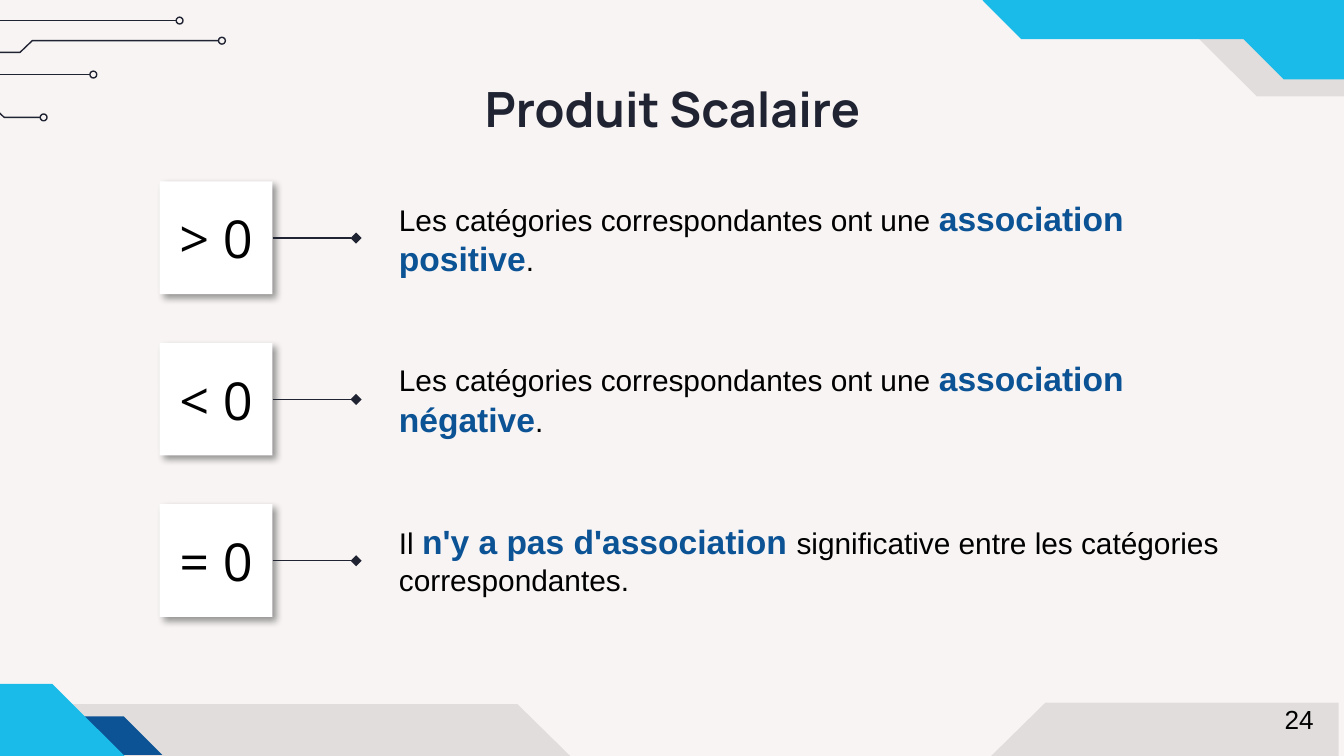
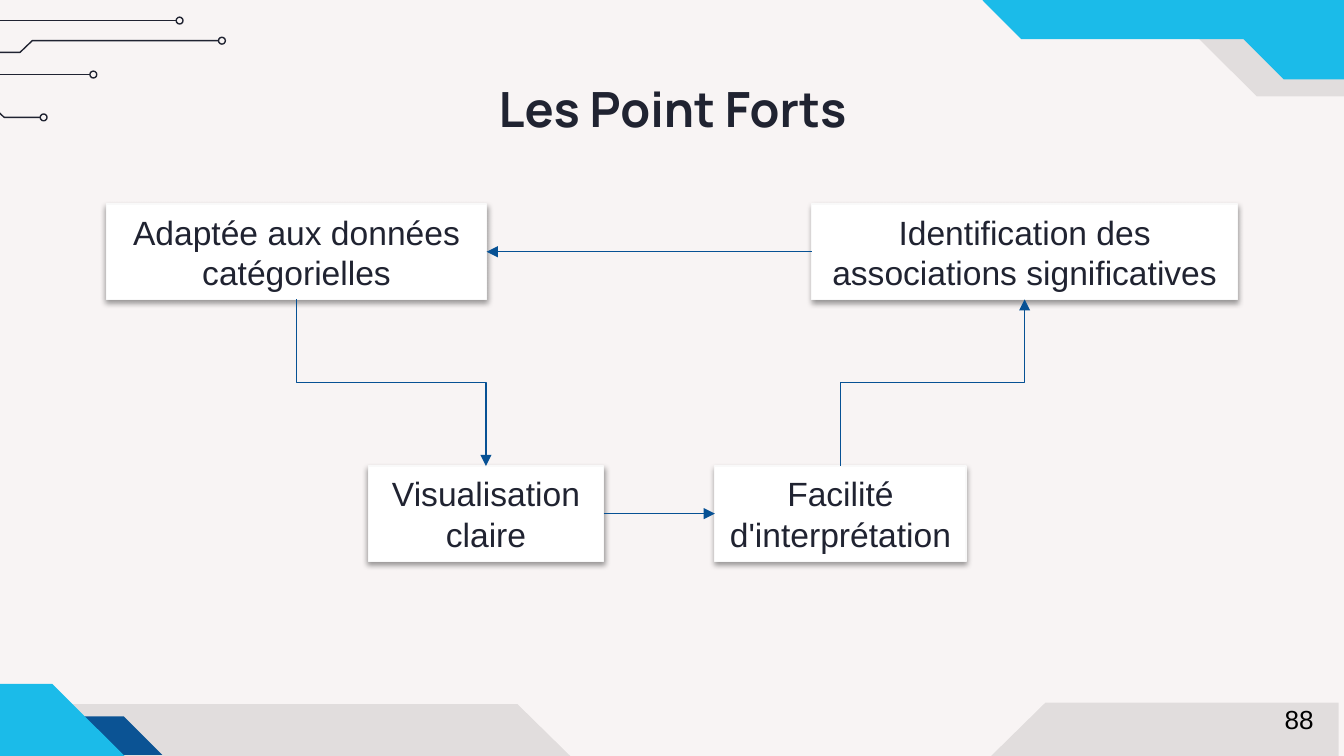
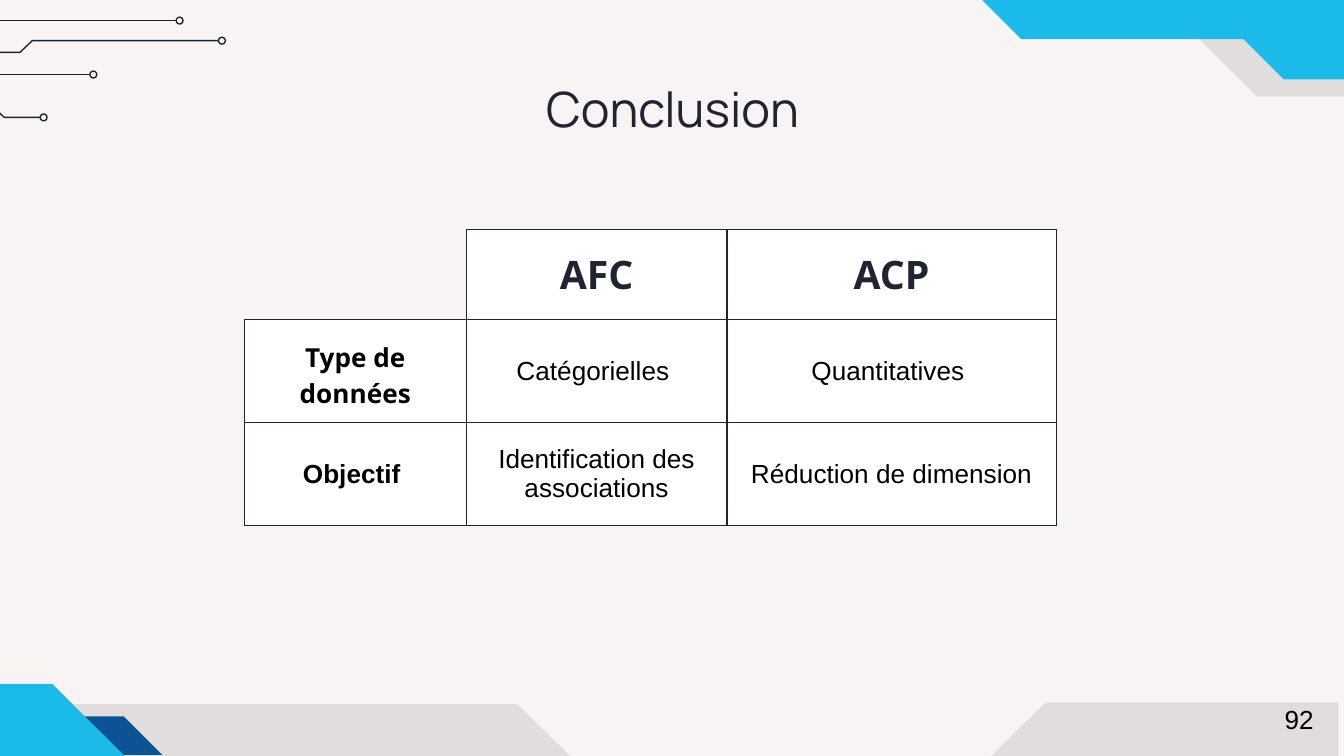
from lxml import etree
from pptx import Presentation
from pptx import util as u
from pptx.dml.color import RGBColor
from pptx.enum import shapes, text
from pptx.oxml import ns

COLORS = {
    "paper": "F8F4F4",
    "ink": "202331",
    "sky": "1BBBE9",
    "navy": "0B5394",
    "arrow": "075194",
    "edge": "F9F9F9",
    "white": "FFFFFF",
    "black": "000000",
}
RGB = {name: RGBColor.from_string(code) for name, code in COLORS.items()}


def draw_line(slide, kind, ends, color, tail=None):
    line = slide.shapes.add_connector(kind, *ends)
    line.line.color.rgb = RGB[color]
    line.line.width = u.Pt(0.75)
    if tail:
        etree.SubElement(line.line._get_or_add_ln(), ns.qn("a:tailEnd"), type=tail)
    etree.SubElement(line.element.spPr, ns.qn("a:effectLst"))
    return line


def draw_card(slide, place, words, size, face, color, blur, dist, angle, alpha):
    card = slide.shapes.add_shape(shapes.MSO_SHAPE.RECTANGLE, *map(u.Cm, place))
    card.fill.solid()
    card.fill.fore_color.rgb = RGB["white"]
    card.line.fill.background()
    card.shadow.inherit = False
    glow = etree.SubElement(
        card.element.spPr.find(ns.qn("a:effectLst")), ns.qn("a:outerShdw"),
        blurRad=str(u.Pt(blur)), dist=str(u.Pt(dist)), dir=str(angle * 60000),
        algn="bl", rotWithShape="0")
    tint = etree.SubElement(glow, ns.qn("a:srgbClr"), val=COLORS["black"])
    etree.SubElement(tint, ns.qn("a:alpha"), val=str(alpha * 1000))
    card.text_frame.word_wrap = True
    card.text_frame.vertical_anchor = text.MSO_ANCHOR.MIDDLE
    label = card.text_frame.paragraphs[0]
    label.add_run().text = words
    label.alignment = text.PP_ALIGN.CENTER
    label.font.size = u.Pt(size)
    label.font.name = face
    label.font.color.rgb = RGB[color]
    return card


prs = Presentation()
prs.slide_width, prs.slide_height = u.Cm(25.4), u.Cm(14.29)
layout = prs.slide_layouts[6]
for holder in list(layout.placeholders):
    layout.shapes.element.remove(holder.element)
layout.background.fill.solid()
layout.background.fill.fore_color.rgb = RGB["paper"]
product, strengths, conclusion = [prs.slides.add_slide(layout) for _ in range(3)]

bands = [
    ("black", 9, [(23.75, 1.82), (20.9, -1.02), (20.07, -1.02), (20.07, -2.46),
                  (27.86, -2.46), (27.86, 1.82)]),
    ("black", 9, [(19.76, 13.28), (16.89, 16.1), (12.62, 16.1), (9.78, 13.31),
                  (-0.71, 13.31), (-0.71, 18.54), (25.3, 18.54), (25.3, 13.28)]),
    ("navy", 100, [(3.07, 14.27), (2.34, 13.54), (-0.86, 13.54), (-0.13, 14.27)]),
    ("sky", 100, [(30.23, 1.5), (30.23, -6.88), (16.03, -6.88), (16.03, -0.74),
                  (17.83, -0.74), (19.3, 0.74), (23.5, 0.74), (24.26, 1.5)]),
    ("sky", 100, [(0.99, 12.93), (3.84, 15.77), (4.65, 15.77), (4.65, 17.22),
                  (-3.15, 17.22), (-3.15, 12.93)]),
]
for color, alpha, corners in bands:
    start, *rest = [(u.Cm(x), u.Cm(y)) for x, y in corners]
    outline = product.shapes.build_freeform(*start)
    outline.add_line_segments(rest)
    band = outline.convert_to_shape()
    band.fill.solid()
    band.fill.fore_color.rgb = RGB[color]
    band.line.fill.background()
    band.shadow.inherit = False
    if alpha < 100:
        tint = band.element.spPr.find(".//" + ns.qn("a:srgbClr"))
        etree.SubElement(tint, ns.qn("a:alpha"), val=str(alpha * 1000))

circuits = [
    [(-2.54, 1.41), (1.7, 1.41)],
    [(-3.45, 1.91), (-0.25, 1.91), (0.08, 2.22), (0.76, 2.22)],
    [(-4.27, 0.99), (0.38, 0.99), (0.61, 0.77), (4.13, 0.77)],
    [(-4.9, 0.39), (3.33, 0.39)],
]
node_size = 0.13
for circuit in circuits:
    start, *rest = [(u.Cm(x), u.Cm(y)) for x, y in circuit]
    end_x, end_y = circuit[-1]
    node = product.shapes.add_shape(
        shapes.MSO_SHAPE.OVAL, u.Cm(end_x), u.Cm(end_y - node_size / 2),
        u.Cm(node_size), u.Cm(node_size))
    inked = [node]
    if len(rest) == 1:
        draw_line(product, shapes.MSO_CONNECTOR.STRAIGHT, (*start, *rest[0]), "ink")
    else:
        outline = product.shapes.build_freeform(*start)
        outline.add_line_segments(rest, close=False)
        inked.append(outline.convert_to_shape())
    for part in inked:
        part.fill.background()
        part.line.color.rgb = RGB["ink"]
        part.line.width = u.Pt(0.75)
        part.shadow.inherit = False

for part in list(product.shapes):
    layout.shapes.element.append(part.element)

headings = [
    (product, "Produit Scalaire", True, "24"),
    (strengths, "Les Point Forts", True, "88"),
    (conclusion, "Conclusion", False, "92"),
]
for slide, heading, bold, number in headings:
    title = slide.shapes.add_textbox(u.Cm(2.01), u.Cm(1.24), u.Cm(21.41), u.Cm(1.6)).text_frame
    title.word_wrap = True
    title.vertical_anchor = text.MSO_ANCHOR.MIDDLE
    title.margin_top = title.margin_bottom = u.Cm(0.25)
    page = slide.shapes.add_textbox(u.Cm(24.03), u.Cm(13.18), u.Cm(1.07), u.Cm(0.86)).text_frame
    page.word_wrap = False
    page.auto_size = text.MSO_AUTO_SIZE.SHAPE_TO_FIT_TEXT
    for frame, words, size, face, color in [
        (title, heading, 26, "Manrope", "ink"),
        (page, number, 14, "Arial", "black"),
    ]:
        line = frame.paragraphs[0]
        line.add_run().text = words
        line.font.size = u.Pt(size)
        line.font.name = face
        line.font.color.rgb = RGB[color]
    title.paragraphs[0].alignment = text.PP_ALIGN.CENTER
    title.paragraphs[0].font.bold = bold

signs = [
    ("> 0", 3.61, "Les catégories correspondantes ont une ", "association positive", "."),
    ("< 0", 6.65, "Les catégories correspondantes ont une ", "association négative", "."),
    ("= 0", 9.73, "Il ", "n'y a pas d'association ",
     "significative entre les catégories correspondantes."),
]
for row, (sign, meaning_top, before, key, after) in enumerate(signs):
    top = 3.43 + row * 3.05
    draw_card(product, (3.02, top, 2.13, 2.13), sign, 28, "Open Sans", "black", 4, 3, 45, 40)
    middle = top + 1.07
    draw_line(product, shapes.MSO_CONNECTOR.STRAIGHT,
              map(u.Cm, (5.15, middle, 6.73, middle)), "ink", "diamond")
    meaning = product.shapes.add_textbox(u.Cm(7.29), u.Cm(meaning_top), u.Cm(16.1), u.Cm(1.8))
    meaning.text_frame.word_wrap = True
    sentence = meaning.text_frame.paragraphs[0]
    sentence.font.name = "Arial"
    for words, size, color, bold in [
        (before, 16, "black", False), (key, 18, "navy", True), (after, 16, "black", False),
    ]:
        run = sentence.add_run()
        run.text = words
        run.font.size = u.Pt(size)
        run.font.color.rgb = RGB[color]
        run.font.bold = bold

upper, lower = 3.86, 8.81
cards = []
for words, left, top, width in [
    ("Adaptée aux données catégorielles", 2.01, upper, 7.19),
    ("Visualisation claire", 6.96, lower, 4.45),
    ("Facilité d'interprétation", 13.51, lower, 4.75),
    ("Identification des associations significatives", 15.34, upper, 8.05),
]:
    card = draw_card(strengths, (left, top, width, 1.8), words, 18, "Arial", "ink", 3.1, 1.6, 90, 38)
    card.line.color.rgb = RGB["edge"]
    card.line.width = u.Pt(0.75)
    cards.append(card)
adapted, visual, easy, links = cards

for source, target in [(visual, easy), (links, adapted)]:
    y = source.top + source.height // 2
    if source.left < target.left:
        ends = (source.left + source.width, y, target.left, y)
    else:
        ends = (source.left, y, target.left + target.width, y)
    draw_line(strengths, shapes.MSO_CONNECTOR.ELBOW, ends, "arrow", "triangle")

gap_top, gap_bottom = adapted.top + adapted.height, visual.top
half_rise = (gap_bottom - gap_top) // 2
for source, target, turn, side in [(adapted, visual, 270, 1), (easy, links, 90, -1)]:
    from_x = source.left + source.width // 2
    to_x = target.left + target.width // 2
    half_run = (to_x - from_x) // 2
    x, y = (from_x + to_x) // 2, (gap_top + gap_bottom) // 2
    ends = (x + half_rise, y - side * half_run, x - half_rise, y + side * half_run)
    draw_line(strengths, shapes.MSO_CONNECTOR.ELBOW, ends, "arrow", "triangle").rotation = turn

comparison = [
    ["", "AFC", "ACP"],
    ["Type de données", "Catégorielles ", "Quantitatives "],
    ["Objectif ", "Identification des associations", "Réduction de dimension"],
]
grid = conclusion.shapes.add_table(3, 3, u.Cm(4.62), u.Cm(4.34), u.Cm(15.34), u.Cm(5.2)).table
grid.first_row = grid.horz_banding = False
for column, width in zip(grid.columns, (4.19, 4.93, 6.22)):
    column.width = u.Cm(width)
for row, height in zip(grid.rows, (1.7, 1.75, 1.75)):
    row.height = u.Cm(height)
for r, entries in enumerate(comparison):
    for c, words in enumerate(entries):
        cell = grid.cell(r, c)
        cell.vertical_anchor = text.MSO_ANCHOR.MIDDLE
        cell.margin_left = cell.margin_right = u.Cm(0.38)
        cell.margin_top = cell.margin_bottom = u.Cm(0.38 if r else 0.28)
        if words:
            cell.fill.solid()
            cell.fill.fore_color.rgb = RGB["white"]
            entry = cell.text_frame.paragraphs[0]
            entry.add_run().text = words
            entry.alignment = text.PP_ALIGN.CENTER
            entry.font.size = u.Pt(14 if r else 21)
            entry.font.name = "Open Sans" if r == 0 or (r, c) == (1, 0) else "Arial"
            entry.font.bold = r == 0 or c == 0
            entry.font.color.rgb = RGB["black" if r else "ink"]
        else:
            cell.fill.background()
        props = cell._tc.get_or_add_tcPr()
        for order, side in enumerate("LRTB"):
            border = etree.Element(ns.qn("a:ln" + side), w=str(u.Pt(0.75)))
            if words or side in "RB":
                paint = etree.SubElement(border, ns.qn("a:solidFill"))
                etree.SubElement(paint, ns.qn("a:srgbClr"), val=COLORS["ink"])
            else:
                etree.SubElement(border, ns.qn("a:noFill"))
            props.insert(order, border)

prs.save("out.pptx")
